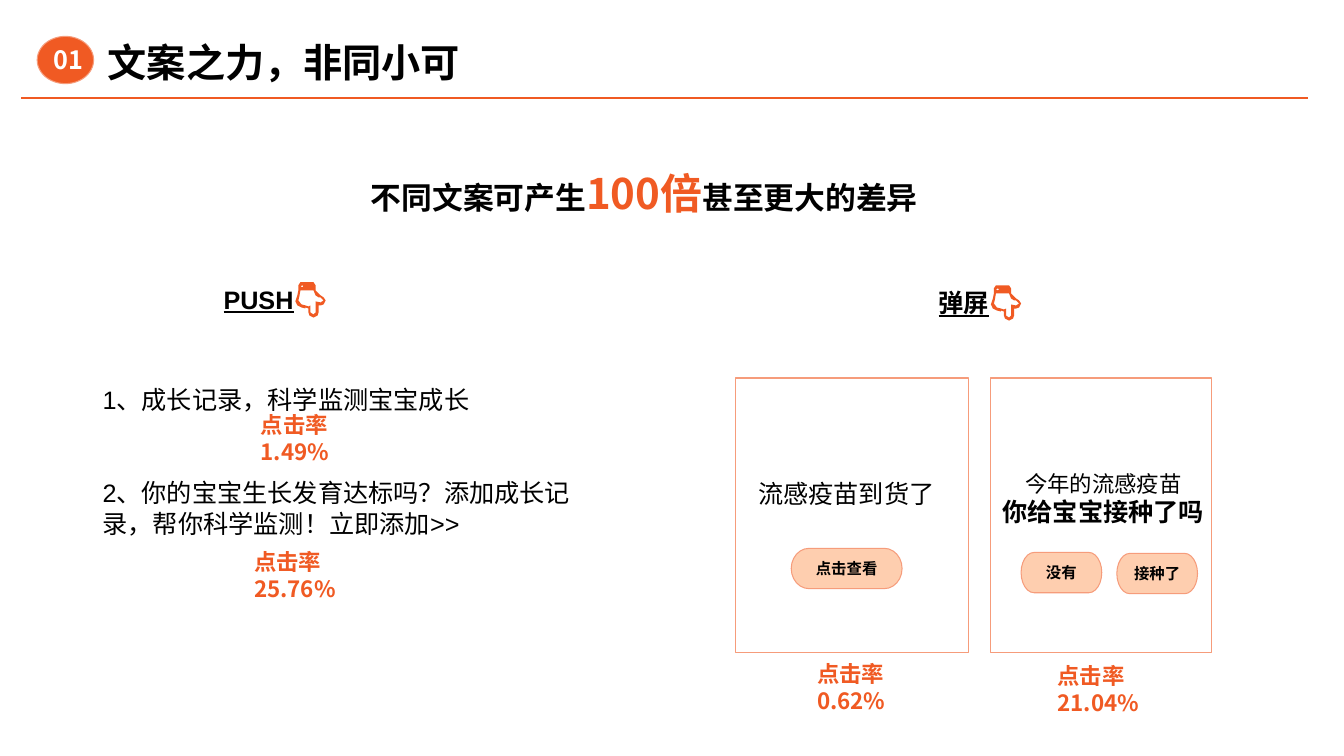
from lxml.etree import SubElement
from pptx import Presentation
from pptx.dml.color import RGBColor
from pptx.enum.shapes import MSO_CONNECTOR, MSO_SHAPE
from pptx.enum.text import MSO_ANCHOR, MSO_AUTO_SIZE, PP_ALIGN
from pptx.oxml.ns import qn
from pptx.util import Pt

COLORS = {"orange": "F05A23", "edge": "F69C7B", "peach": "FECEAF", "white": "FFFFFF", "black": "000000"}
CJK = "Noto Sans CJK SC"
LATIN = "Arial"
HAND = [
    [(13, 30), (13, 26), (10, 25), (10, 26), (6, 25), (2, 23), (0, 19), (2, 13), (3, 8), (3, 3),
     (5, 0), (18, 0), (20, 3), (20, 8), (23, 11), (25, 13), (28, 15), (30, 18), (28, 22),
     (25, 23), (23, 23), (23, 30), (22, 33), (18, 35), (14, 33)],
    [(8, 4), (7, 3), (5, 4), (7, 5)],
    [(20, 30), (20, 19), (25, 20), (28, 18), (25, 15), (23, 15), (20, 13), (18, 8), (5, 8),
     (4, 14), (3, 18), (6, 22), (10, 23), (13, 24), (15, 23), (15, 30), (18, 32)],
]


def rgb(name):
    return RGBColor.from_string(COLORS[name])


def add_run(p, text, size, font=LATIN, color="black", **formats):
    r = p.add_run()
    r.text = text
    r.font.color.rgb = rgb(color)
    for name, value in {"size": Pt(size), "name": font, **formats}.items():
        setattr(r.font, name, value)
    SubElement(r.font._element, qn("a:ea")).set("typeface", CJK)


def fill_text(tf, lines, align=PP_ALIGN.LEFT, **formats):
    for name, value in {"word_wrap": True, **formats}.items():
        setattr(tf, name, value)
    for i, runs in enumerate(lines):
        p = tf.add_paragraph() if i else tf.paragraphs[0]
        p.alignment = align
        for text, size, look in runs:
            add_run(p, text, size, **look)


def add_text(shapes, box, lines, align=PP_ALIGN.LEFT, **formats):
    s = shapes.add_textbox(*map(Pt, box))
    fill_text(s.text_frame, lines, align, **{"auto_size": MSO_AUTO_SIZE.SHAPE_TO_FIT_TEXT, **formats})
    return s


def add_panel(shapes, kind, box, fill, label=None):
    s = shapes.add_shape(kind, *map(Pt, box))
    s.shadow.inherit = False
    s.fill.solid()
    s.fill.fore_color.rgb = rgb(fill)
    s.line.color.rgb = rgb("edge")
    s.line.width = Pt(0.75)
    if label:
        insets = {f"margin_{side}": Pt(3) for side in ("left", "top", "right", "bottom")}
        fill_text(s.text_frame, [[(label, 11, {"bold": True})]], PP_ALIGN.CENTER,
                  vertical_anchor=MSO_ANCHOR.MIDDLE, **insets)


def add_rate(shapes, x, y, value):
    look = {"font": CJK, "color": "orange", "bold": True}
    s = add_text(shapes, (x, y, 109, 26.6), [[("点击率" + value, 16, look)]],
                 vertical_anchor=MSO_ANCHOR.MIDDLE)
    s.text_frame._txBody.bodyPr.set("anchorCtr", "1")


def add_hand_heading(shapes, x, y, text):
    group = shapes.add_group_shape().shapes
    add_text(group, (x, y, 108.7, 28.8), [[(text, 18, {"bold": True, "underline": True})]], PP_ALIGN.RIGHT)
    builder = group.build_freeform(*HAND[0][0], scale=Pt(0.72))
    builder.add_line_segments(HAND[0][1:])
    for outline in HAND[1:]:
        builder.move_to(*outline[0])
        builder.add_line_segments(outline[1:])
    s = builder.convert_to_shape(Pt(x + 103), Pt(y + 2.2))
    s.shadow.inherit = False
    s.fill.solid()
    s.fill.fore_color.rgb = rgb("orange")
    s.line.fill.background()


def add_header(slide):
    line = slide.shapes.add_connector(MSO_CONNECTOR.STRAIGHT, Pt(15.1), Pt(70), Pt(934), Pt(70))
    line.line.color.rgb = rgb("orange")
    line.line.width = Pt(1.5)
    SubElement(line._element.spPr, qn("a:effectLst"))
    add_panel(slide.shapes, MSO_SHAPE.FLOWCHART_CONNECTOR, (26.6, 26, 40.3, 33.8), "orange")
    title = slide.shapes.title
    for name, value in {"left": 77, "top": 26, "width": 406, "height": 36}.items():
        setattr(title, name, Pt(value))
    fill_text(title.text_frame, [[("文案之力，非同小可", 28, {"font": CJK, "bold": True})]],
              vertical_anchor=MSO_ANCHOR.MIDDLE, margin_left=0, margin_top=0, margin_right=0, margin_bottom=0)
    add_text(slide.shapes, (22.3, 28, 53.3, 28.8),
             [[("01", 18, {"font": CJK, "color": "white", "bold": True})]], PP_ALIGN.CENTER)


def main():
    prs = Presentation()
    prs.slide_width, prs.slide_height = Pt(960), Pt(540)
    slide = prs.slides.add_slide(prs.slide_layouts[5])
    shapes = slide.shapes
    add_header(slide)

    strong = {"font": CJK, "bold": True}
    headline = add_text(shapes, (257.8, 120.2, 462, 51.8), [[
        ("不同文案可产生", 22, strong),
        ("100倍", 30, {**strong, "color": "orange"}),
        ("甚至更大的差异", 22, strong),
    ]], auto_size=MSO_AUTO_SIZE.NONE)
    headline.text_frame.paragraphs[0].line_spacing = 0.9

    add_hand_heading(shapes, 108, 199.4, "PUSH")
    add_hand_heading(shapes, 604.8, 201.6, "弹屏")

    add_text(shapes, (66.2, 270.7, 332, 28.8), [[("1、成长记录，科学监测宝宝成长", 18, {})]])
    add_text(shapes, (66.2, 337.7, 357, 51),
             [[("2、你的宝宝生长发育达标吗？添加成长记录，帮你科学监测！立即添加>>", 18, {})]])

    for x, width in ((525.6, 166.3), (707.8, 157.7)):
        add_panel(shapes, MSO_SHAPE.RECTANGLE, (x, 270, width, 195.8), "white")
    add_text(shapes, (525.6, 338.4, 157.7, 28.8), [[("流感疫苗到货了", 18, {})]], PP_ALIGN.CENTER)
    add_text(shapes, (707.8, 332, 160.6, 48.2),
             [[("今年的流感疫苗", 16, {})], [("你给宝宝接种了吗", 18, {"bold": True})]], PP_ALIGN.CENTER)
    for x, y, width, label in ((565.2, 391.7, 79.2, "点击查看"),
                               (729.4, 394.6, 57.6, "没有"),
                               (797.8, 395.3, 57.6, "接种了")):
        add_panel(shapes, MSO_SHAPE.FLOWCHART_TERMINATOR, (x, y, width, 28.8), "peach", label)

    for x, y, value in ((156.2, 299.5, "1.49%"), (156.2, 397.4, "25.76%"),
                        (553.7, 477.4, "0.62%"), (730, 478.8, "21.04%")):
        add_rate(shapes, x, y, value)
    prs.save("out.pptx")


if __name__ == "__main__":
    main()
